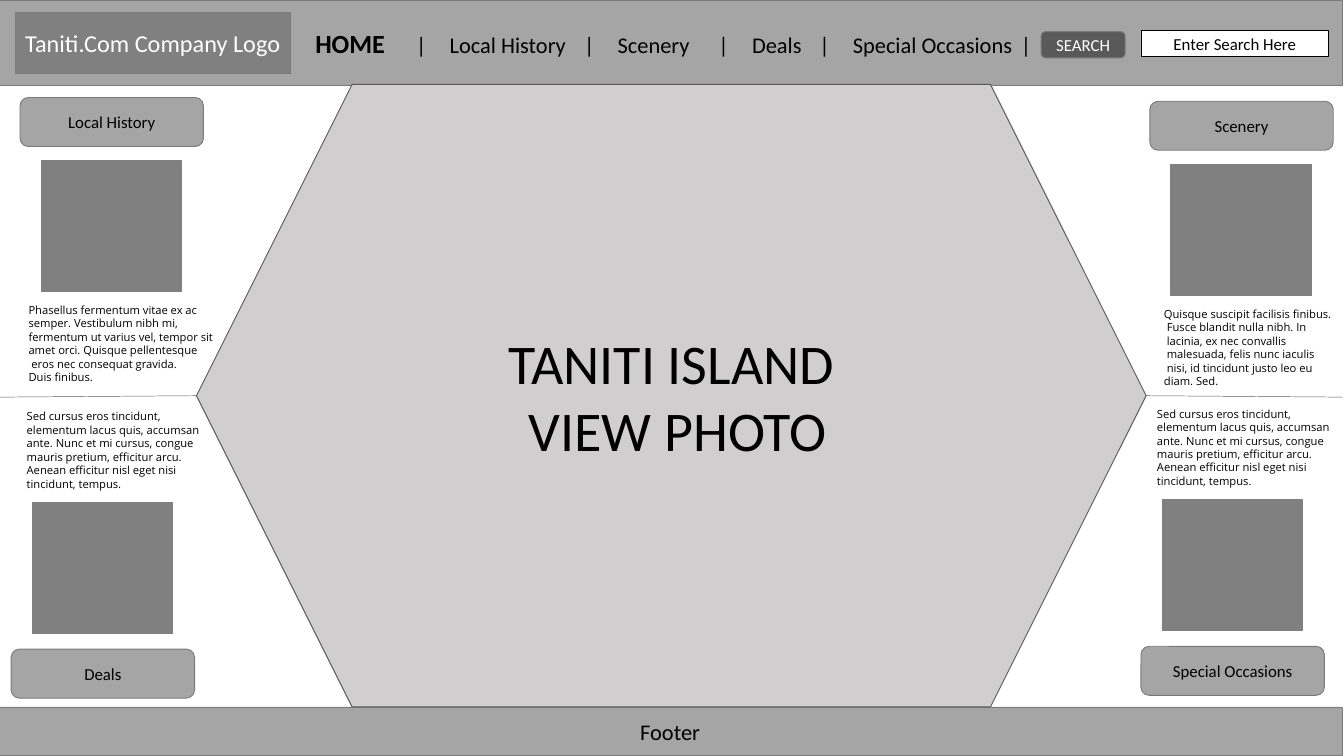
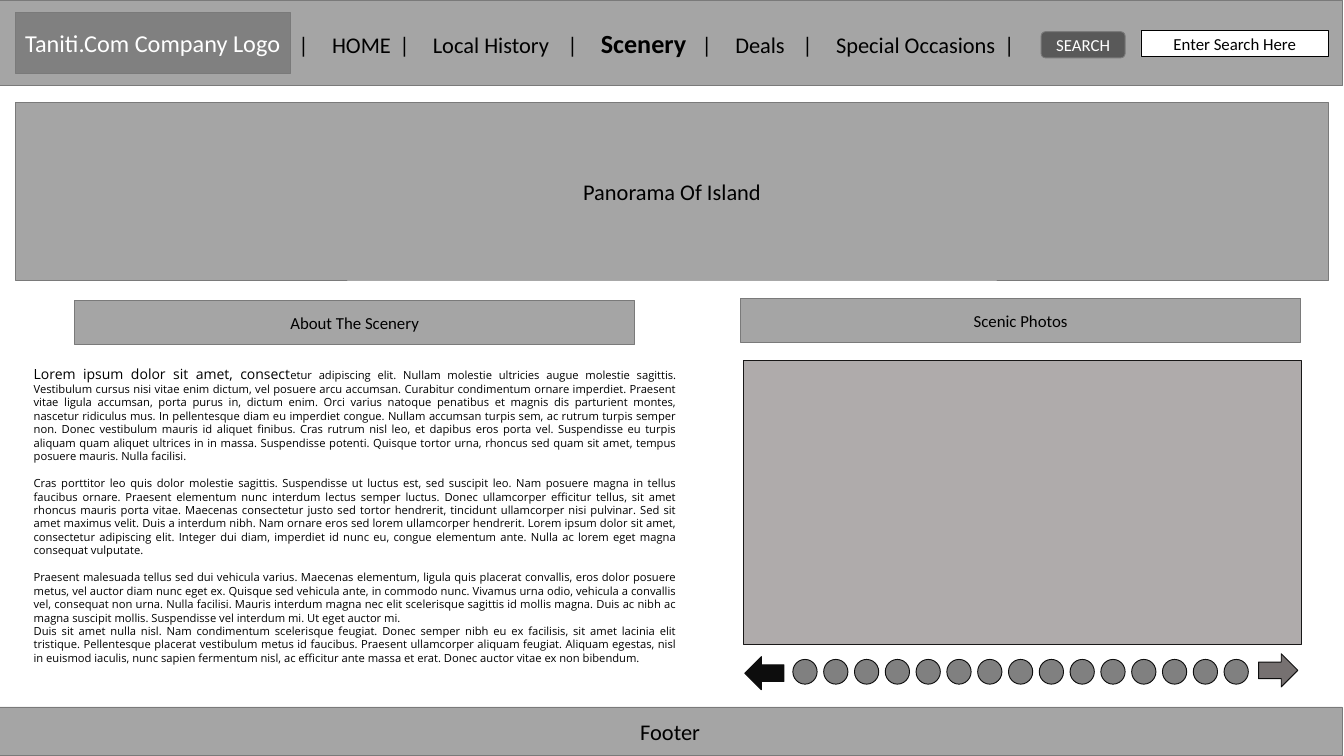
from dataclasses import dataclass

from lxml import etree
from pptx import Presentation
from pptx.dml.color import RGBColor
from pptx.enum.shapes import MSO_CONNECTOR, MSO_SHAPE
from pptx.enum.text import MSO_ANCHOR, MSO_AUTO_SIZE, PP_ALIGN
from pptx.oxml.ns import qn
from pptx.util import Pt

RECT = MSO_SHAPE.RECTANGLE
ROUNDED = MSO_SHAPE.ROUNDED_RECTANGLE
HEXAGON = MSO_SHAPE.HEXAGON
ARROW = MSO_SHAPE.RIGHT_ARROW
DOT = MSO_SHAPE.FLOWCHART_CONNECTOR
STRAIGHT = MSO_CONNECTOR.STRAIGHT
MIDDLE = MSO_ANCHOR.MIDDLE
TOP = MSO_ANCHOR.TOP
GROW = MSO_AUTO_SIZE.SHAPE_TO_FIT_TEXT
CENTER = PP_ALIGN.CENTER
LEFT = PP_ALIGN.LEFT
JUSTIFY = PP_ALIGN.JUSTIFY


@dataclass(frozen=True)
class Theme:
    """Colours, fonts and type sizes of the wireframe."""
    black: str = "000000"
    white: str = "FFFFFF"
    band: str = "A5A5A5"
    edge: str = "7A7A7A"
    image: str = "808080"
    dark: str = "595959"
    hero: str = "D0CECE"
    viewer: str = "AFABAB"
    viewer_edge: str = "181717"
    arrow: str = "767171"
    ink: str = "0D0D0D"
    heading_font: str = "Calibri"
    body_font: str = "Open Sans"
    hero_size: float = 60
    current_size: float = 28
    logo_size: float = 26
    nav_size: float = 24
    label_size: float = 18
    lead_size: float = 15
    body_size: float = 12


THEME = Theme()
WIDTH, HEIGHT = 1440, 810
BODY_LINE = 14.5
MENU = "|\tHOME\t|\tLocal History\t|\tScenery\t|\tDeals\t|\tSpecial Occasions\t|\t "

HISTORY = (
    "Phasellus fermentum vitae ex ac",
    "semper. Vestibulum nibh mi,",
    "fermentum ut varius vel, tempor sit",
    "amet orci. Quisque pellentesque",
    " eros nec consequat gravida.",
    "Duis finibus.",
)
SCENERY = (
    "Quisque suscipit facilisis finibus.",
    " Fusce blandit nulla nibh. In",
    " lacinia, ex nec convallis",
    " malesuada, felis nunc iaculis",
    " nisi, id tincidunt justo leo eu",
    "diam. Sed.",
)
TEASER = (
    "Sed cursus eros tincidunt, elementum lacus quis, accumsan ante. Nunc et mi "
    "cursus, congue mauris pretium, efficitur arcu. Aenean efficitur nisl eget nisi "
    "tincidunt, tempus.",
)
LEAD = "Lorem ipsum dolor sit amet, consect"
ARTICLE = (
    "etur adipiscing elit. Nullam molestie ultricies augue molestie sagittis. "
    "Vestibulum cursus nisi vitae enim dictum, vel posuere arcu accumsan. Curabitur "
    "condimentum ornare imperdiet. Praesent vitae ligula accumsan, porta purus in, "
    "dictum enim. Orci varius natoque penatibus et magnis dis parturient montes, "
    "nascetur ridiculus mus. In pellentesque diam eu imperdiet congue. Nullam "
    "accumsan turpis sem, ac rutrum turpis semper non. Donec vestibulum mauris id "
    "aliquet finibus. Cras rutrum nisl leo, et dapibus eros porta vel. Suspendisse eu "
    "turpis aliquam quam aliquet ultrices in in massa. Suspendisse potenti. Quisque "
    "tortor urna, rhoncus sed quam sit amet, tempus posuere mauris. Nulla facilisi.",
    "Cras porttitor leo quis dolor molestie sagittis. Suspendisse ut luctus est, sed "
    "suscipit leo. Nam posuere magna in tellus faucibus ornare. Praesent elementum "
    "nunc interdum lectus semper luctus. Donec ullamcorper efficitur tellus, sit amet "
    "rhoncus mauris porta vitae. Maecenas consectetur justo sed tortor hendrerit, "
    "tincidunt ullamcorper nisi pulvinar. Sed sit amet maximus velit. Duis a interdum "
    "nibh. Nam ornare eros sed lorem ullamcorper hendrerit. Lorem ipsum dolor sit "
    "amet, consectetur adipiscing elit. Integer dui diam, imperdiet id nunc eu, "
    "congue elementum ante. Nulla ac lorem eget magna consequat vulputate.",
    "Praesent malesuada tellus sed dui vehicula varius. Maecenas elementum, ligula "
    "quis placerat convallis, eros dolor posuere metus, vel auctor diam nunc eget ex. "
    "Quisque sed vehicula ante, in commodo nunc. Vivamus urna odio, vehicula a "
    "convallis vel, consequat non urna. Nulla facilisi. Mauris interdum magna nec "
    "elit scelerisque sagittis id mollis magna. Duis ac nibh ac magna suscipit "
    "mollis. Suspendisse vel interdum mi. Ut eget auctor mi.",
    "Duis sit amet nulla nisl. Nam condimentum scelerisque feugiat. Donec semper nibh "
    "eu ex facilisis, sit amet lacinia elit tristique. Pellentesque placerat "
    "vestibulum metus id faucibus. Praesent ullamcorper aliquam feugiat. Aliquam "
    "egestas, nisl in euismod iaculis, nunc sapien fermentum nisl, ac efficitur ante "
    "massa et erat. Donec auctor vitae ex non bibendum.",
)


def rgb(color):
    """Turn a hex string into a colour."""
    return RGBColor.from_string(color)


def style_paragraph(p, font, size, color, align):
    """Set the font and alignment of a paragraph."""
    p.alignment = align
    p.font.name = font
    p.font.size = Pt(size)
    p.font.color.rgb = rgb(color)


def write_lines(tf, lines, font, size, color, align):
    """Write one paragraph per line into a text frame."""
    for i, line in enumerate(lines):
        p = tf.add_paragraph() if i else tf.paragraphs[0]
        p.add_run().text = line
        style_paragraph(p, font, size, color, align)


def add_box(s, kind, box, fill, line, lines=(), size=THEME.label_size, color=THEME.black):
    """Add a filled, outlined shape with centred text."""
    sp = s.shapes.add_shape(kind, *map(Pt, box))
    sp.shadow.inherit = False
    sp.fill.solid()
    sp.fill.fore_color.rgb = rgb(fill)
    sp.line.color.rgb = rgb(line)
    sp.line.width = Pt(1)
    tf = sp.text_frame
    tf.word_wrap = True
    tf.vertical_anchor = MIDDLE
    write_lines(tf, lines, THEME.heading_font, size, color, CENTER)
    return sp


def add_body(s, box, lines, align=LEFT):
    """Add a text box of body copy."""
    tf = s.shapes.add_textbox(*map(Pt, box)).text_frame
    tf.word_wrap = True
    tf.auto_size = GROW
    tf.vertical_anchor = TOP
    write_lines(tf, lines, THEME.body_font, THEME.body_size, THEME.black, align)
    return tf


def add_rule(s, x1, y1, x2, y2):
    """Add a thin divider."""
    line = s.shapes.add_connector(STRAIGHT, Pt(x1), Pt(y1), Pt(x2), Pt(y2))
    line.line.color.rgb = rgb(THEME.dark)
    line.line.width = Pt(0.5)
    etree.SubElement(line._element.spPr, qn("a:effectLst"))


def add_menu(s, current):
    """Add the top band with the current page in bold."""
    sp = add_box(s, RECT, (-1.5, 0, WIDTH, 92), THEME.band, THEME.edge)
    p = sp.text_frame.paragraphs[0]
    style_paragraph(p, THEME.heading_font, THEME.nav_size, THEME.black, CENTER)
    for text in MENU.partition(current):
        r = p.add_run()
        r.text = text
        if text == current:
            r.font.size = Pt(THEME.current_size)
            r.font.bold = True


def add_page(prs, current):
    """Add a slide with the site's menu, footer, search and logo box."""
    s = prs.slides.add_slide(prs.slide_layouts[6])
    add_menu(s, current)
    add_box(s, RECT, (-2, 757.5, WIDTH, 52.5), THEME.band, THEME.edge,
            ["Footer"], THEME.nav_size)
    add_box(s, ROUNDED, (1115.5, 34, 90, 28), THEME.dark, THEME.edge,
            ["SEARCH"], color=THEME.white)
    add_box(s, RECT, (1222.5, 33, 201, 28), THEME.white, THEME.black,
            ["Enter Search Here"])
    add_box(s, RECT, (16.5, 13, 294.5, 65.5), THEME.image, THEME.edge,
            ["Taniti.Com Company Logo"], THEME.logo_size, THEME.white)
    return s


def add_card(s, x, y, name, lines, image_dy, text_dx, text_dy, text_width):
    """Add a section button with its image and teaser, placed from the button."""
    add_box(s, RECT, (x + 22.5, y + image_dy, 150.5, 140.5), THEME.image, THEME.image)
    add_body(s, (x + text_dx, y + text_dy, text_width, 94.5), lines)
    add_box(s, ROUNDED, (x, y, 196.5, 52.5), THEME.band, THEME.edge, [name])


def add_viewer(s):
    """Add the photo viewer with its arrows and page dots."""
    add_box(s, RECT, (796.5, 386.5, 597.5, 304.5), THEME.viewer, THEME.viewer_edge)
    add_box(s, ARROW, (1348.5, 700.5, 42, 35.5), THEME.arrow, THEME.ink)
    back = add_box(s, ARROW, (798, 703.5, 42, 35.5), THEME.ink, THEME.ink)
    back.rotation = 180
    for i in range(15):
        add_box(s, DOT, (849.5 + 33 * i, 706.5, 26, 26.5), THEME.image, THEME.ink)


def build_home(prs):
    """Build the home page."""
    s = add_page(prs, "HOME")
    add_box(s, HEXAGON, (210.5, 90.5, 1017.5, 667), THEME.hero, THEME.dark,
            ["TANITI ISLAND", " VIEW PHOTO"], THEME.hero_size)
    add_rule(s, 0, 425.5, 210.5, 424)
    add_rule(s, 1228, 424, 1438.5, 425.5)
    above = {"image_dy": 67.5, "text_dy": 217, "text_width": 720}
    below = {"image_dy": -157, "text_dy": -260, "text_width": 211.5}
    add_card(s, 21.5, 104.5, "Local History", HISTORY, text_dx=2, **above)
    add_card(s, 1232, 108.5, "Scenery", SCENERY, text_dx=8, **above)
    add_card(s, 12, 695.5, "Deals", TEASER, text_dx=9.5, **below)
    add_card(s, 1222.5, 692.5, "Special Occasions", TEASER, text_dx=10, **below)


def build_scenery(prs):
    """Build the scenery page."""
    s = add_page(prs, "Scenery")
    add_box(s, RECT, (16.5, 110, 1407, 190), THEME.band, THEME.edge,
            ["Panorama Of Island"], THEME.nav_size)
    tf = add_body(s, (29, 388, 703.5, 360), (LEAD,) + ARTICLE[1:], JUSTIFY)
    first, second, third = tf.paragraphs[:3]
    first.runs[0].font.size = Pt(THEME.lead_size)
    first.add_run().text = ARTICLE[0]
    for p in (second, third):
        p.space_before = Pt(BODY_LINE)
    add_box(s, RECT, (80, 322, 600, 47.5), THEME.band, THEME.edge, ["About The Scenery"])
    add_box(s, RECT, (793.5, 319.5, 600, 47.5), THEME.band, THEME.edge, ["Scenic Photos"])
    add_viewer(s)


def main():
    """Build and save the presentation."""
    prs = Presentation()
    prs.slide_width, prs.slide_height = Pt(WIDTH), Pt(HEIGHT)
    build_home(prs)
    build_scenery(prs)
    prs.save("out.pptx")


if __name__ == "__main__":
    main()
